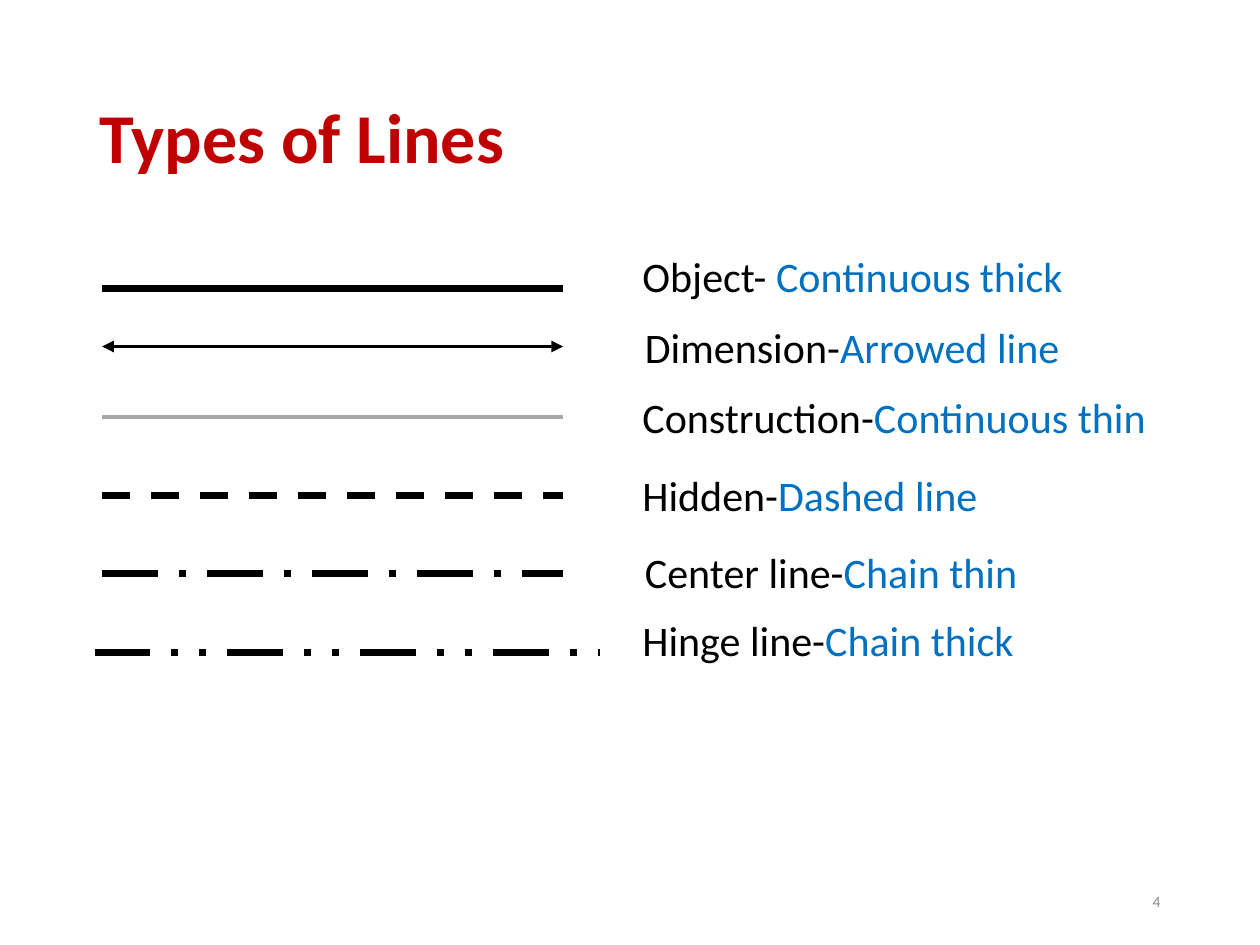
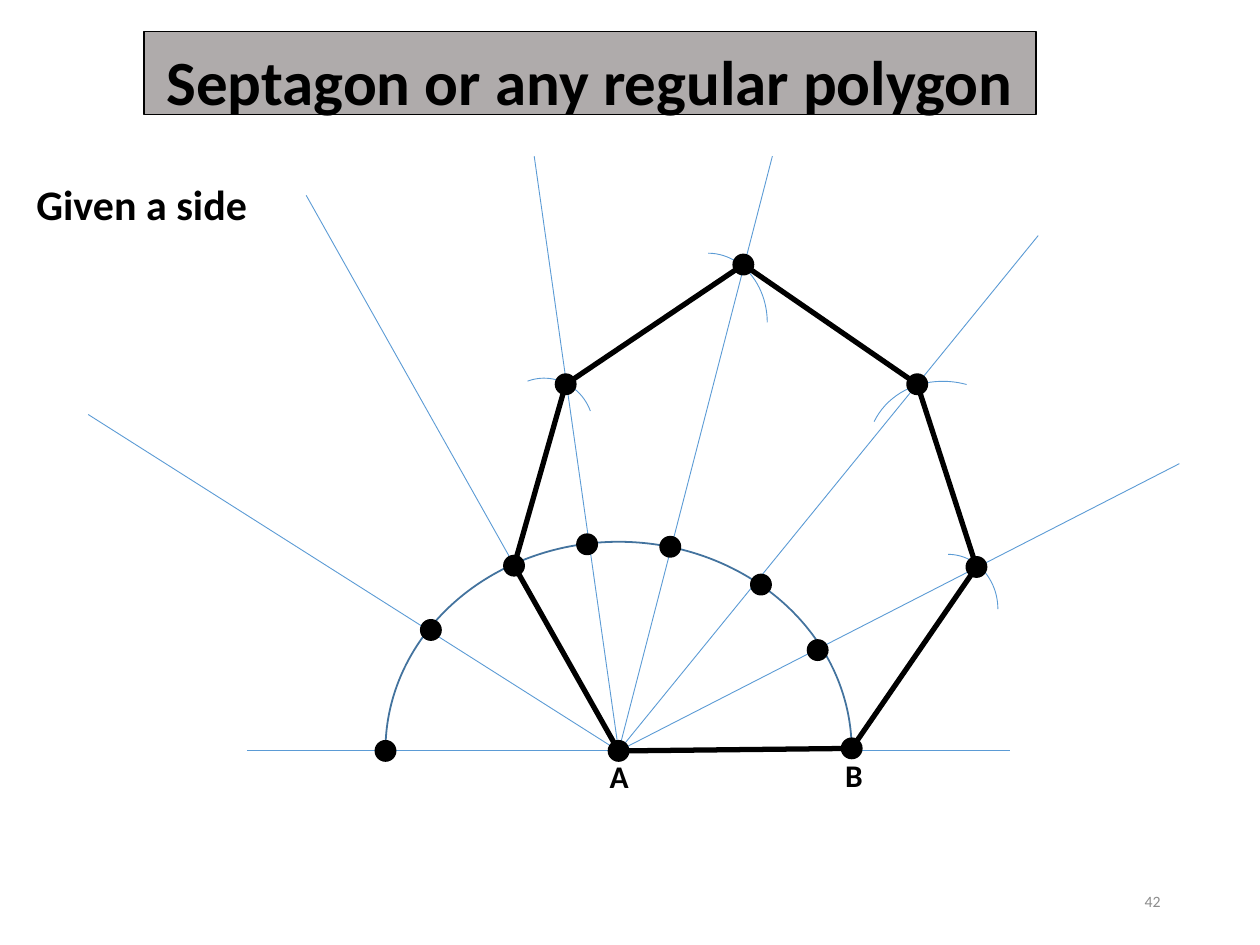
from lxml import etree
from pptx import Presentation
from pptx import util as u
from pptx.dml.color import RGBColor
from pptx.enum import dml, shapes, text
from pptx.oxml.ns import qn

HUES = {"ink": "000000", "red": "C00000", "blue": "0070C0", "pale": "A6A6A6",
        "band": "AFABAB", "ray": "5B9BD5", "rim": "43739E", "foot": "8C8C8C"}
FACE = "Calibri"
COLS, ROWS = 10, 7.5
CELL = u.Inches(1)
DOT = 0.16
KIND = shapes.MSO_SHAPE
DASH = dml.MSO_LINE
MID = text.MSO_ANCHOR.MIDDLE
RIGHT, CENTER = text.PP_ALIGN.RIGHT, text.PP_ALIGN.CENTER

STYLES = [
    (2.29, 1.94, 5, "Object- ", "Continuous thick", {}),
    (2.75, 2.5, 5.02, "Dimension-", "Arrowed line", {"wide": 2.25, "tips": True}),
    (3.31, 3.06, 5, "Construction-", "Continuous thin", {"wide": 2.25, "hue": "pale"}),
    (3.93, 3.68, 5, "Hidden-", "Dashed line", {"dash": DASH.DASH}),
    (4.55, 4.29, 5.02, "Center line-", "Chain thin", {"dash": DASH.LONG_DASH_DOT}),
    (5.18, 4.83, 5, "Hinge line-", "Chain thick", {"dash": DASH.DASH_DOT_DOT}),
]
A, B = (4.91, 5.96), (6.76, 5.94)
CORNERS = [A, B, (7.75, 4.5), (7.28, 3.05), (5.9, 2.1), (4.49, 3.05), (4.08, 4.49)]
MARKS = [(3.06, 5.96), (3.42, 5), (4.66, 4.32), (5.32, 4.34), (6.04, 4.64), (6.49, 5.16)]
RAYS = [(9.36, 3.68), (8.24, 1.87), (6.13, 1.24), (4.24, 1.24), (2.43, 1.55), (0.7, 3.29)]
ARCS = [
    ((7.13, 4.4, 0.79, 0.87), 0, ()),
    ((6.94, 2.97, 1.2, 1.34), 296, (162, 207.96)),
    ((5.15, 2.01, 0.94, 1.1), 0, ()),
    ((3.94, 3, 0.77, 0.79), 339.7, ()),
]


def span(*cells):
    return [round(n * CELL) for n in cells]


def tint(name):
    return RGBColor.from_string(HUES[name])


def apply(item, look):
    for key, value in look.items():
        setattr(item, key, value)


def write(para, parts, size, bold=False):
    for words, hue in parts:
        run = para.add_run()
        run.text = words
        apply(run.font, {"name": FACE, "size": u.Pt(size), "bold": bold})
        run.font.color.rgb = tint(hue)


def label(slide, box, parts, size, bold=False, wrap=True, anchor=text.MSO_ANCHOR.TOP, **look):
    frame = slide.shapes.add_textbox(*span(*box)).text_frame
    apply(frame, {"word_wrap": wrap, "vertical_anchor": anchor})
    para = frame.paragraphs[0]
    apply(para, look)
    write(para, parts, size, bold)


def stroke(slide, start, end, hue="ink", wide=4, dash=None, tips=False):
    wire = slide.shapes.add_connector(shapes.MSO_CONNECTOR.STRAIGHT, *span(*start, *end))
    wire.line.color.rgb = tint(hue)
    apply(wire.line, {"width": u.Pt(wide), "dash_style": dash})
    etree.SubElement(wire._element.spPr, qn("a:effectLst"))
    if tips:
        pen = wire.line._get_or_add_ln()
        for tag in ("a:headEnd", "a:tailEnd"):
            etree.SubElement(pen, qn(tag), type="triangle")


def form(slide, kind, box, fill, edge, wide=1, turn=0, bends=()):
    shape = slide.shapes.add_shape(kind, *span(*box))
    shape.shadow.inherit = False
    shape.rotation = turn
    for i, bend in enumerate(bends):
        shape.adjustments[i] = bend
    if fill:
        shape.fill.solid()
        shape.fill.fore_color.rgb = tint(fill)
    else:
        shape.fill.background()
    shape.line.color.rgb = tint(edge)
    shape.line.width = u.Pt(wide)
    return shape


def dot(slide, x, y):
    form(slide, KIND.FLOWCHART_CONNECTOR, (x - DOT / 2, y - DOT / 2, DOT, DOT), "ink", "ink")


def footer(slide, page):
    label(slide, (7.06, 6.95, 2.25, 0.4), [(page, "foot")], 9, anchor=MID, alignment=RIGHT)


def banner(slide, words):
    band = form(slide, KIND.RECTANGLE, (1.14, 0.25, 7.08, 0.66), "band", "ink")
    frame = band.text_frame
    apply(frame, {"word_wrap": True, "vertical_anchor": text.MSO_ANCHOR.TOP,
                  "margin_top": u.Inches(0.09)})
    para = frame.paragraphs[0]
    para.alignment = CENTER
    write(para, [(words, "ink")], 36, True)


def lines(slide):
    label(slide, (0.69, 0.4, 8.62, 1.44), [("Types of Lines", "red")], 40, True,
          anchor=MID, line_spacing=0.9)
    for y, top, left, name, kind, look in STYLES:
        ends = (0.75, 4.76) if name.startswith("Hinge") else (0.81, 4.47)
        stroke(slide, (ends[0], y), (ends[1], y), **look)
        label(slide, (left, top, 4.61, 0.5), [(name, "ink"), (kind, "blue")], 24)
    footer(slide, "4")


def polygon(slide):
    banner(slide, "Septagon or any regular polygon")
    form(slide, KIND.BLOCK_ARC, (3.06, 4.3, 3.7, 3.31), "ray", "rim", bends=(108, 215.63, 0))
    stroke(slide, (1.96, 5.96), (8.02, 5.96), "ray", 0.5)
    for tip in RAYS:
        stroke(slide, A, tip, "ray", 0.5)
    for box, turn, bends in ARCS:
        form(slide, KIND.ARC, box, None, "ray", 0.5, turn, bends)
    for start, end in zip(CORNERS, CORNERS[1:] + CORNERS[:1]):
        stroke(slide, start, end, wide=3)
    for name, left, top in (("A", 4.74, 5.96), ("B", 6.61, 5.95)):
        label(slide, (left, top, 0.35, 0.4), [(name, "ink")], 18, True, wrap=False)
    for spot in MARKS + CORNERS:
        dot(slide, *spot)
    label(slide, (0.19, 1.37, 1.89, 0.5), [("Given a side", "ink")], 24, True, wrap=False)
    footer(slide, "42")


def main():
    deck = Presentation()
    deck.slide_width, deck.slide_height = span(COLS, ROWS)
    for draw in (lines, polygon):
        draw(deck.slides.add_slide(deck.slide_layouts[6]))
    deck.save("out.pptx")


if __name__ == "__main__":
    main()
